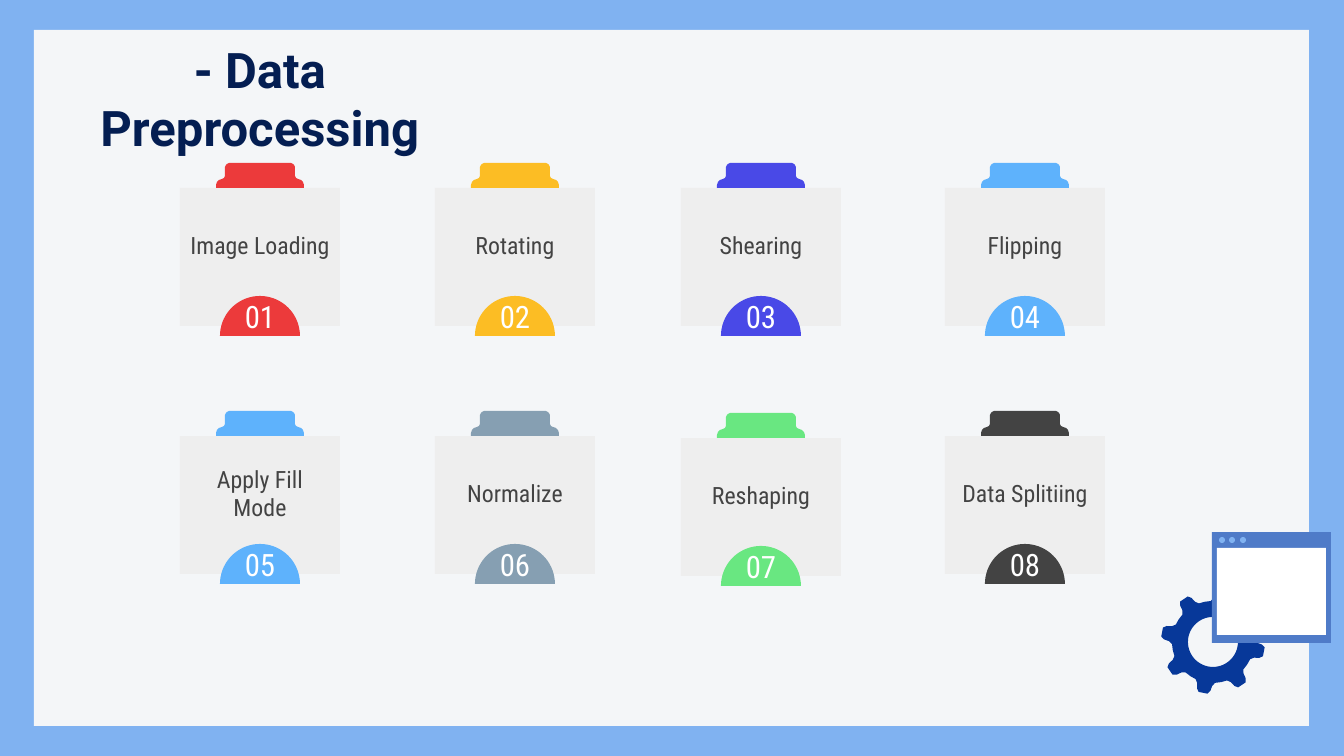
from math import cos, radians, sin

from pptx import Presentation
from pptx.dml.color import RGBColor
from pptx.enum.shapes import MSO_SHAPE
from pptx.enum.text import MSO_ANCHOR, PP_ALIGN
from pptx.util import Pt

RECT, OVAL = MSO_SHAPE.RECTANGLE, MSO_SHAPE.OVAL
TOP, MIDDLE = MSO_ANCHOR.TOP, MSO_ANCHOR.MIDDLE
CENTER = PP_ALIGN.CENTER

SKY = RGBColor(0x80, 0xB2, 0xF1)
PAPER = RGBColor(0xF4, 0xF6, 0xF8)
NAVY = RGBColor(0x04, 0x1E, 0x52)
COBALT = RGBColor(0x07, 0x38, 0x99)
STEEL = RGBColor(0x4F, 0x7B, 0xC8)
WHITE = RGBColor(0xFF, 0xFF, 0xFF)
PALE = RGBColor(0xEE, 0xEE, 0xEE)
RED = RGBColor(0xEC, 0x3A, 0x3B)
AMBER = RGBColor(0xFC, 0xBD, 0x24)
INDIGO = RGBColor(0x49, 0x49, 0xE7)
AZURE = RGBColor(0x5E, 0xB2, 0xFC)
SLATE = RGBColor(0x86, 0x9F, 0xB2)
GREEN = RGBColor(0x69, 0xE7, 0x81)
DARK = RGBColor(0x43, 0x43, 0x43)

HEAD, BODY = "Roboto", "Roboto Condensed"

# Card columns, and rows of (label, colour, top)
COLS = [180, 435, 681, 945]
ROWS = [
    [("Image Loading", RED, 188), ("Rotating", AMBER, 188),
     ("Shearing", INDIGO, 188), ("Flipping", AZURE, 188)],
    [("Apply Fill Mode", AZURE, 436), ("Normalize", SLATE, 436),
     ("Reshaping", GREEN, 438), ("Data Splitiing", DARK, 436)],
]

# Left half of a card's cap, and one gear tooth as (degrees, radius)
CAP = [(0, 25), (0, 22), (1, 19), (3, 17), (6, 16), (8, 15), (9, 13),
       (9, 4), (10, 2), (11, 1), (13, 0)]
CAP_W = 88
TOOTH = [(-14, 41), (-10, 44), (-8, 49), (-5, 52),
         (5, 52), (8, 49), (10, 44), (14, 41), (22, 41)]


def px(n):
    return round(n * 914400 / 100.8)


def paint(shape, color):
    shape.shadow.inherit = False
    shape.fill.solid()
    shape.fill.fore_color.rgb = color
    shape.line.fill.background()
    return shape


def block(shapes, kind, x, y, w, h, color):
    return paint(shapes.add_shape(kind, px(x), px(y), px(w), px(h)), color)


def outline(shapes, x, y, color, *loops):
    """Fill closed loops of points given relative to x, y."""
    paths = [[(px(x + a), px(y + b)) for a, b in loop] for loop in loops]
    pen = shapes.build_freeform(*paths[0][0], scale=1.0)
    for i, path in enumerate(paths):
        if i:
            pen.move_to(*path[0])
        pen.add_line_segments(path[1:], close=True)
    return paint(pen.convert_to_shape(), color)


def polar(deg, r):
    return r * cos(radians(deg)), r * sin(radians(deg))


def write(shape, text, font, size, color, inset=10, anchor=MIDDLE, bold=False):
    frame = shape.text_frame
    frame.text = text
    frame.word_wrap = True
    frame.vertical_anchor = anchor
    frame.margin_left = frame.margin_right = px(inset)
    frame.margin_top = frame.margin_bottom = px(inset)
    para = frame.paragraphs[0]
    para.alignment = CENTER
    style = para.runs[0].font
    style.name, style.size, style.bold = font, Pt(size), bold
    style.color.rgb = color


def title(shapes, x, y, w, h):
    box = shapes.add_textbox(px(x), px(y), px(w), px(h))
    write(box, "- Data Preprocessing", HEAD, 35, NAVY, 13, TOP, True)


def card(shapes, x, y, w, h, num, label, color):
    parts = shapes.add_group_shape().shapes
    mid = x + w / 2
    block(parts, RECT, x, y, w, h, PALE)
    # Numbered dome
    arc = [polar(deg, 40) for deg in range(180, 361, 5)]
    dome = outline(parts, mid, y + h + 10, color, arc)
    write(dome, f"{num:02}", BODY, 22, WHITE)
    # Cap
    right = [(CAP_W - a, b) for a, b in reversed(CAP)]
    outline(parts, mid - CAP_W / 2, y - 25, color, CAP + right)
    # Label
    box = parts.add_textbox(px(x), px(y + 22), px(w), px(70))
    write(box, label, BODY, 17, DARK)


def gear(shapes, x, y):
    """Gear centred on x, y."""
    rim = [polar(11 + 45 * i + deg, r) for i in range(8) for deg, r in TOOTH]
    hole = [polar(-deg, 25) for deg in range(0, 360, 6)]
    outline(shapes, x, y, COBALT, rim, hole)


def window(shapes, x, y, w, h):
    parts = shapes.add_group_shape().shapes
    block(parts, RECT, x, y, w, h, STEEL)
    block(parts, RECT, x + 5, y + 16, w - 10, h - 24, WHITE)
    for i in range(3):
        block(parts, OVAL, x + 7 + i * 21 // 2, y + 5, 6, 6, SKY)


def main():
    deck = Presentation()
    deck.slide_width, deck.slide_height = px(1344), px(756)
    slide = deck.slides.add_slide(deck.slide_layouts[6])
    slide.background.fill.solid()
    slide.background.fill.fore_color.rgb = SKY
    shapes = slide.shapes

    block(shapes, RECT, 34, 30, 1275, 696, PAPER)
    title(shapes, 22, 26, 476, 94)
    gear(shapes, 1213, 642)
    window(shapes, 1212, 532, 119, 111)
    for r, row in enumerate(ROWS):
        for c, (label, color, y) in enumerate(row):
            num = r * len(COLS) + c + 1
            card(shapes, COLS[c], y, 160, 138, num, label, color)
    deck.save("out.pptx")


if __name__ == "__main__":
    main()
